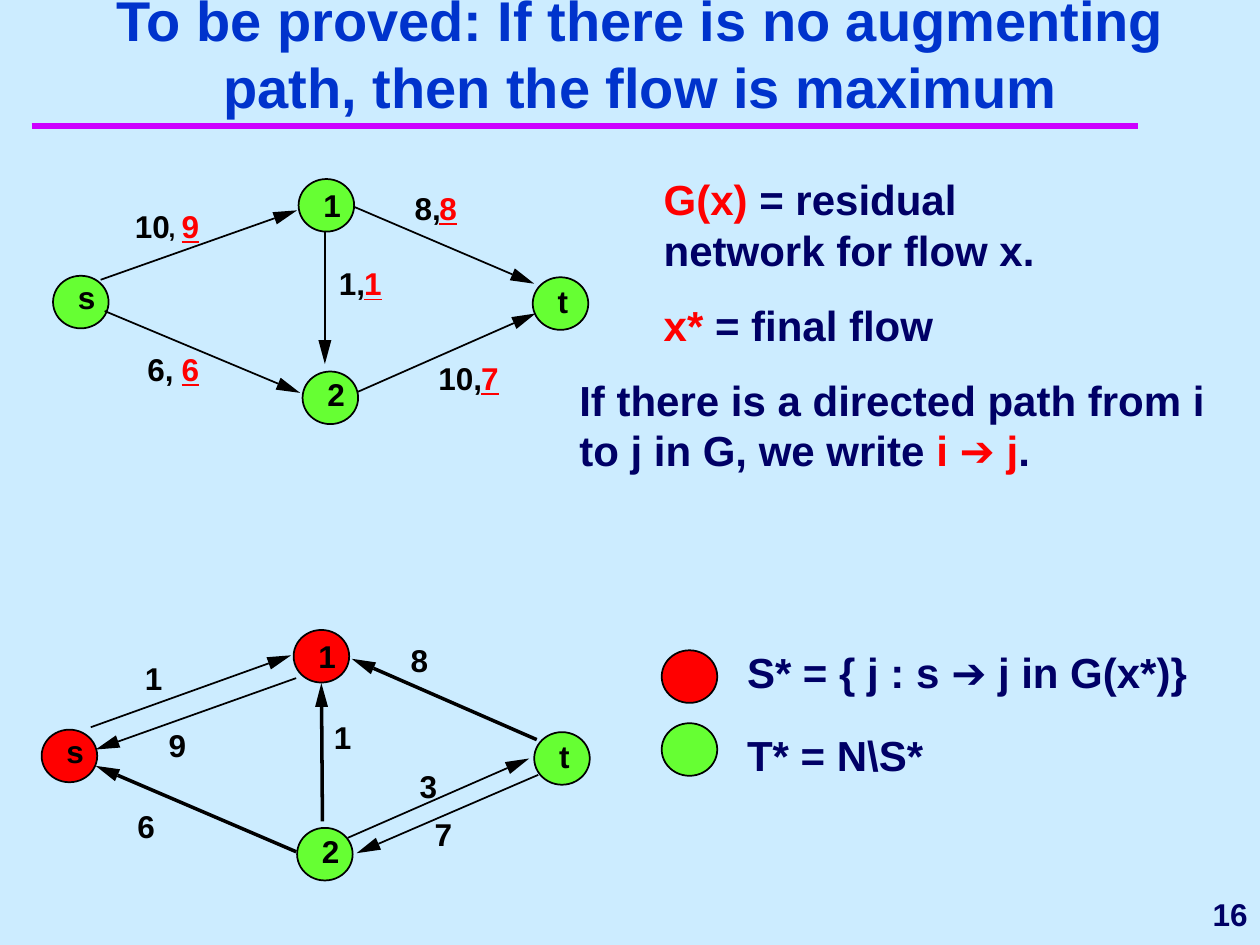
from math import hypot

from lxml import etree
from pptx import Presentation
from pptx.dml.color import RGBColor
from pptx.enum.shapes import MSO_CONNECTOR as Connector, MSO_SHAPE as Shape
from pptx.enum.text import MSO_ANCHOR as Anchor, MSO_AUTO_SIZE as AutoSize, PP_ALIGN as Align
from pptx.oxml.ns import qn
from pptx.util import Cm, Pt

COLORS = {
    "sky": "CCECFF", "purple": "CC00FF", "blue": "0033CC", "navy": "000066",
    "black": "000000", "red": "FF0000", "green": "66FF33",
}
NODE_WIDTH, NODE_HEIGHT = 1.12, 1.06
NAME_INDENT = 0.5
NAME_DROP = {"s": 0.05, "1": 0.15, "2": 0.08, "t": 0.09}
HEAD_LENGTH, HEAD_HALF_WIDTH = 0.48, 0.13

FLOW_NODES = [
    ("s", 1.07, 5.56, "green"), ("1", 6.02, 3.61, "green"),
    ("2", 6.1, 7.49, "green"), ("t", 10.74, 5.59, "green"),
]
FLOW_ARCS = [
    ((2.03, 5.64), (5.99, 4.24), 1), ((2.11, 6.27), (6.05, 7.92), 1),
    ((7.14, 4.17), (10.77, 5.72), 1), ((7.21, 7.9), (10.8, 6.32), 1),
    ((6.55, 4.65), (6.55, 7.34), 1),
]
CAPACITIES = [
    ("10", 2.72, 4.17), ("8,", 8.36, 3.81), ("1,", 6.83, 5.33),
    ("10,", 8.84, 7.24), ("6,", 2.97, 7.06),
]
FLOWS = [
    ("9", 3.66, 4.17), ("8", 8.86, 3.81), ("1", 7.34, 5.33),
    ("7", 9.7, 7.24), ("6", 3.66, 7.06),
]
RESIDUAL_NODES = [
    ("s", 0.84, 14.71, "red"), ("1", 5.92, 12.7, "red"),
    ("2", 5.99, 16.69, "green"), ("t", 10.77, 14.76, "green"),
]
RESIDUAL_ARCS = [
    ((1.83, 14.66), (5.87, 13.21), 1), ((5.97, 17.17), (1.93, 15.44), 2),
    ((10.82, 14.91), (7.09, 13.28), 2), ((7.01, 16.89), (10.67, 15.29), 1),
    ((6.5, 16.56), (6.48, 13.77), 2), ((5.97, 13.67), (1.93, 15.11), 1),
    ((10.85, 15.62), (7.19, 17.2), 1),
]
RESIDUALS = [
    ("1", 2.92, 13.28), ("8", 8.28, 12.93), ("1", 6.73, 14.48), ("7", 8.76, 16.43),
    ("6", 2.77, 16.26), ("9", 3.4, 14.63), ("3", 8.46, 15.47),
]
LEGEND = [
    ("S* = { j : s ➔ j in G(x*)}", 13.11, 12.9, 9.73, "red"),
    ("T* = N\\S*", 14.58, 14.58, 6.35, "green"),
]
NOTES = [
    (13.13, 3.38, 8.05, 2.29, [("G(x)", "red"), (" = residual network for flow x.", "navy")]),
    (11.43, 7.42, 13.34, 2.29, [
        ("If there is a directed path from i to j in G, we write ", "navy"),
        ("i ➔ j", "red"), (".", "navy"),
    ]),
    (13.13, 5.92, 8.05, 1.27, [("x*", "red"), (" = final flow", "navy")]),
]


def rgb(color):
    return RGBColor.from_string(COLORS[color])


class SlideBuilder:
    font_name = "Arial"

    def __init__(self, deck):
        self.slide = deck.slides.add_slide(deck.slide_layouts[5])
        self.shapes = self.slide.shapes
        background = self.slide.background.fill
        background.solid()
        background.fore_color.rgb = rgb("sky")

    def style(self, para, size, color):
        para.font.name = self.font_name
        para.font.size = Pt(size)
        para.font.bold = True
        para.font.color.rgb = rgb(color)

    def title(self, text):
        box = self.shapes.title
        box.left, box.top, box.width, box.height = Cm(1.07), Cm(0.2), Cm(23.7), Cm(2.34)
        frame = box.text_frame
        frame.text = text
        frame.auto_size = AutoSize.NONE
        frame.vertical_anchor = Anchor.BOTTOM
        frame.paragraphs[0].alignment = Align.CENTER
        self.style(frame.paragraphs[0], 32, "blue")

    def text(self, left, top, width, height, spans, size=24):
        frame = self.shapes.add_textbox(Cm(left), Cm(top), Cm(width), Cm(height)).text_frame
        frame.word_wrap = True
        para = frame.paragraphs[0]
        self.style(para, size, spans[0][1])
        for words, color in spans:
            span = para.add_run()
            span.text = words
            if len(spans) > 1:
                span.font.color.rgb = rgb(color)
        return frame

    def label(self, text, left, top, color="black", size=18, underline=None):
        width = sum(0.22 if letter in ",t" else 0.38 for letter in text)
        frame = self.text(left, top, width, size * 0.042, [(text, color)], size)
        frame.word_wrap = False
        frame.auto_size = AutoSize.SHAPE_TO_FIT_TEXT
        frame.margin_left = frame.margin_right = frame.margin_top = frame.margin_bottom = 0
        frame.paragraphs[0].font.underline = underline

    def slide_number(self, number):
        frame = self.text(20.52, 17.78, 4.88, 1.27, [(number, "navy")], 18)
        frame.word_wrap = False
        frame.vertical_anchor = Anchor.MIDDLE
        frame.paragraphs[0].alignment = Align.RIGHT

    def circle(self, left, top, color):
        circle = self.shapes.add_shape(
            Shape.OVAL, Cm(left), Cm(top), Cm(NODE_WIDTH), Cm(NODE_HEIGHT))
        circle.shadow.inherit = False
        circle.fill.solid()
        circle.fill.fore_color.rgb = rgb(color)
        circle.line.color.rgb = rgb("black")
        circle.line.width = Pt(1)

    def node(self, name, left, top, color):
        self.circle(left, top, color)
        self.label(name, left + NAME_INDENT, top + NAME_DROP[name])

    def line(self, start, end, width, color="black"):
        line = self.shapes.add_connector(Connector.STRAIGHT, *map(Cm, (*start, *end)))
        line.line.color.rgb = rgb(color)
        line.line.width = Pt(width)
        etree.SubElement(line._element.spPr, qn("a:effectLst"))

    def arc(self, start, tip, width):
        run, rise = tip[0] - start[0], tip[1] - start[1]
        length = hypot(run, rise)
        across, down = run / length, rise / length
        base = (tip[0] - HEAD_LENGTH * across, tip[1] - HEAD_LENGTH * down)
        corners = [
            (Cm(base[0] - side * down), Cm(base[1] + side * across))
            for side in (HEAD_HALF_WIDTH, -HEAD_HALF_WIDTH)
        ]
        outline = self.shapes.build_freeform(Cm(tip[0]), Cm(tip[1]))
        outline.add_line_segments(corners, close=True)
        head = outline.convert_to_shape()
        head.shadow.inherit = False
        head.fill.solid()
        head.fill.fore_color.rgb = rgb("black")
        head.line.fill.background()
        self.line(start, base, width)

    def network(self, nodes, arcs, labels):
        for node in nodes:
            self.node(*node)
        for arc in arcs:
            self.arc(*arc)
        for label in labels:
            self.label(*label)


def main():
    deck = Presentation()
    deck.slide_width, deck.slide_height = Cm(25.4), Cm(19.05)
    page = SlideBuilder(deck)
    page.line((0.64, 2.54), (22.94, 2.54), 4, "purple")
    page.slide_number("16")
    page.title("To be proved: If there is no augmenting path, then the flow is maximum")
    page.network(FLOW_NODES, FLOW_ARCS, CAPACITIES)
    page.label(",", 3.4, 4.29, size=14)
    for flow in FLOWS:
        page.label(*flow, color="red", underline=True)
    page.network(RESIDUAL_NODES, RESIDUAL_ARCS, RESIDUALS)
    for text, circle_top, text_top, width, color in LEGEND:
        page.circle(13.34, circle_top, color)
        page.text(14.81, text_top, width, 1.27, [(text, "navy")])
    for note in NOTES:
        page.text(*note)
    deck.save("out.pptx")


if __name__ == "__main__":
    main()
